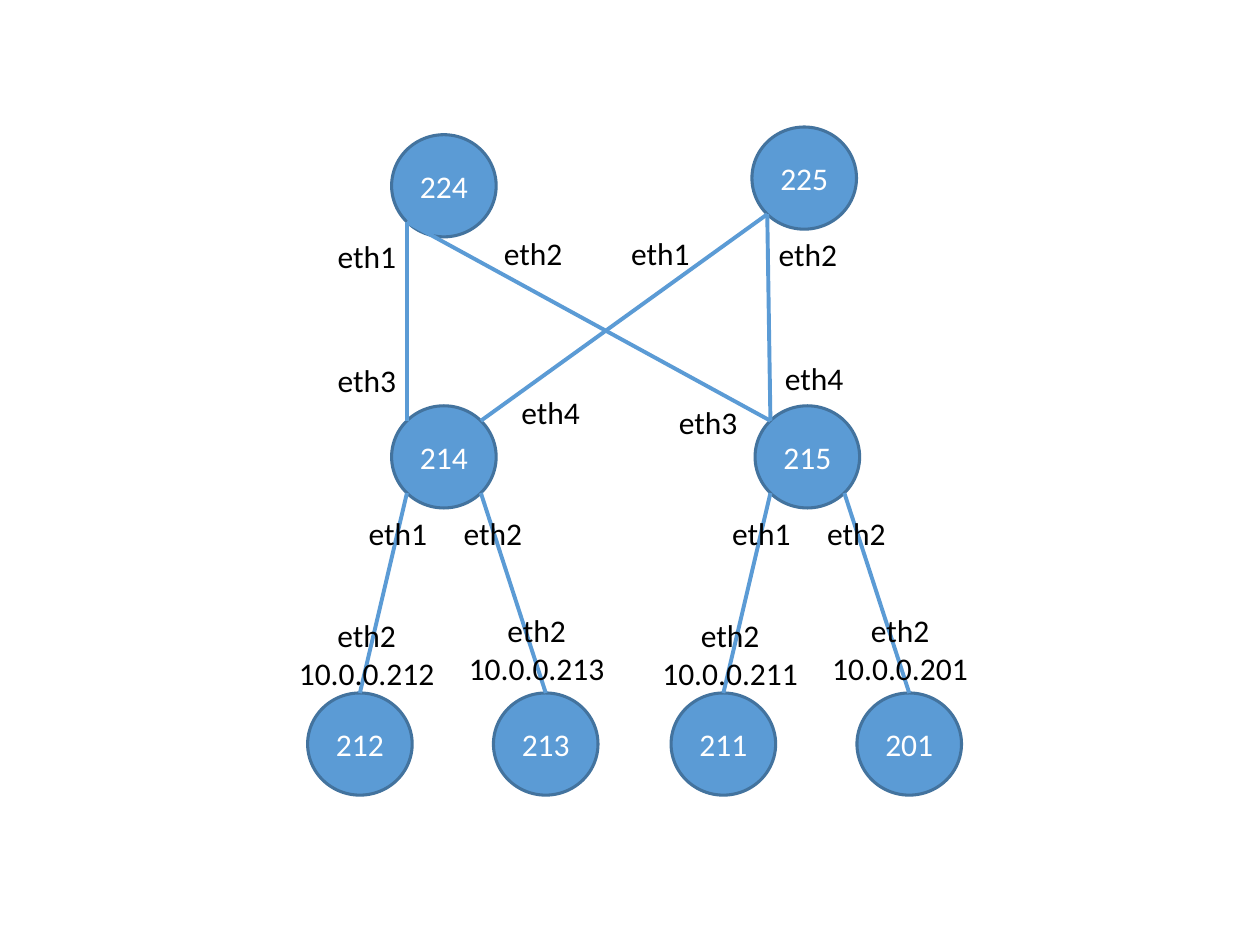
"""Draw a two-tier network of numbered switches, hosts and port labels."""
from math import sqrt

from pptx import Presentation
from pptx.dml.color import RGBColor
from pptx.enum import shapes, text
from pptx.oxml.ns import qn
from pptx.util import Pt
from lxml import etree

BLUE = RGBColor(0x5B, 0x9B, 0xD5)
OUTLINE = RGBColor(0x43, 0x73, 0x9E)
WHITE = RGBColor(0xFF, 0xFF, 0xFF)
BLACK = RGBColor(0x00, 0x00, 0x00)

NODE_WIDTH, NODE_HEIGHT = 59.76, 58.4
LEAF_TOP, HOST_TOP = 231.9, 396
PODS = [
    (223.8, "214", "212", "213"),
    (431.5, "215", "211", "201"),
]
SPINES = [(223.8, 77, "224"), (429.7, 72.6, "225")]
SPINE_PORTS = [
    (185.8, 131.7, "eth1"), (280.8, 130.4, "eth2"),
    (353.5, 130.4, "eth1"), (437.8, 131, "eth2"),
    (185.8, 202.6, "eth3"), (290.9, 221, "eth4"),
    (380.9, 226.8, "eth3"), (441.4, 201.6, "eth4"),
]


class Diagram:
    """Hold the style and the current page."""

    font = {"name": "Calibri", "size": Pt(18)}

    def __init__(self, page):
        self.page = page

    def add_lines(self, box, lines, color, align, **frame_format):
        """Fill a box with one paragraph per line."""
        frame = box.text_frame
        for name, value in frame_format.items():
            setattr(frame, name, value)
        for index, line in enumerate(lines):
            para = frame.add_paragraph() if index else frame.paragraphs[0]
            para.alignment = align
            span = para.add_run()
            span.text = line
            for name, value in self.font.items():
                setattr(span.font, name, value)
            span.font.color.rgb = color

    def node(self, left, top, name):
        """Add a numbered circle."""
        circle = self.page.shapes.add_shape(
            shapes.MSO_SHAPE.OVAL, Pt(left), Pt(top), Pt(NODE_WIDTH), Pt(NODE_HEIGHT))
        circle.shadow.inherit = False
        circle.fill.solid()
        circle.fill.fore_color.rgb = BLUE
        circle.line.color.rgb = OUTLINE
        circle.line.width = Pt(1.75)
        self.add_lines(circle, [name], WHITE, text.PP_ALIGN.CENTER,
                       vertical_anchor=text.MSO_ANCHOR.MIDDLE)
        return circle

    def corner(self, circle, across, down):
        """Return the diagonal rim point of a circle, with signs for its side."""
        reach = 1 / (2 * sqrt(2))
        return (circle.left + round(circle.width * (0.5 + across * reach)),
                circle.top + round(circle.height * (0.5 + down * reach)))

    def link(self, start, end, host=None):
        """Add a line, joined to the top of a host if one is given."""
        line = self.page.shapes.add_connector(
            shapes.MSO_CONNECTOR.STRAIGHT, *start, *end)
        line.line.color.rgb = BLUE
        line.line.width = Pt(2.25)
        etree.SubElement(line._element.spPr, qn("a:effectLst"))
        if host is not None:
            line.end_connect(host, 0)

    def label(self, left, top, *lines, width=54, align=text.PP_ALIGN.LEFT):
        """Add a port label."""
        box = self.page.shapes.add_textbox(
            Pt(left), Pt(top), Pt(width), Pt(7.2 + 21.9 * len(lines)))
        self.add_lines(box, lines, BLACK, align, word_wrap=False,
                       auto_size=text.MSO_AUTO_SIZE.SHAPE_TO_FIT_TEXT)

    def pod(self, left, leaf_name, *host_names):
        """Add a leaf switch with its two hosts and their labels."""
        leaf = self.node(left, LEAF_TOP, leaf_name)
        branches = [(-1, -48, "eth1", -20.2, -62.5, 348.7),
                    (1, 58.2, "eth2", 34, 34.6, 345.7)]
        for host_name, branch in zip(host_names, branches):
            side, host_shift, port, port_shift, address_shift, address_top = branch
            host = self.node(left + host_shift, HOST_TOP, host_name)
            top_middle = host.left + host.width // 2, host.top
            self.link(self.corner(leaf, side, 1), top_middle, host)
            self.label(left + port_shift, 290.3, port)
            self.label(left + address_shift, address_top, "eth2", f"10.0.0.{host_name}",
                       width=96.5, align=text.PP_ALIGN.CENTER)
        return leaf


def main():
    """Build and save the deck."""
    deck = Presentation()
    deck.slide_width, deck.slide_height = Pt(720), Pt(540)
    diagram = Diagram(deck.slides.add_slide(deck.slide_layouts[6]))
    left_leaf, right_leaf = [diagram.pod(*pod) for pod in PODS]
    spines = [diagram.node(*spine) for spine in SPINES]
    for spine, left_leaf_side in zip(spines, (-1, 1)):
        for leaf, side in ((left_leaf, left_leaf_side), (right_leaf, -1)):
            diagram.link(diagram.corner(spine, -1, 1), diagram.corner(leaf, side, -1))
    for port in SPINE_PORTS:
        diagram.label(*port)
    deck.save("out.pptx")


if __name__ == "__main__":
    main()
